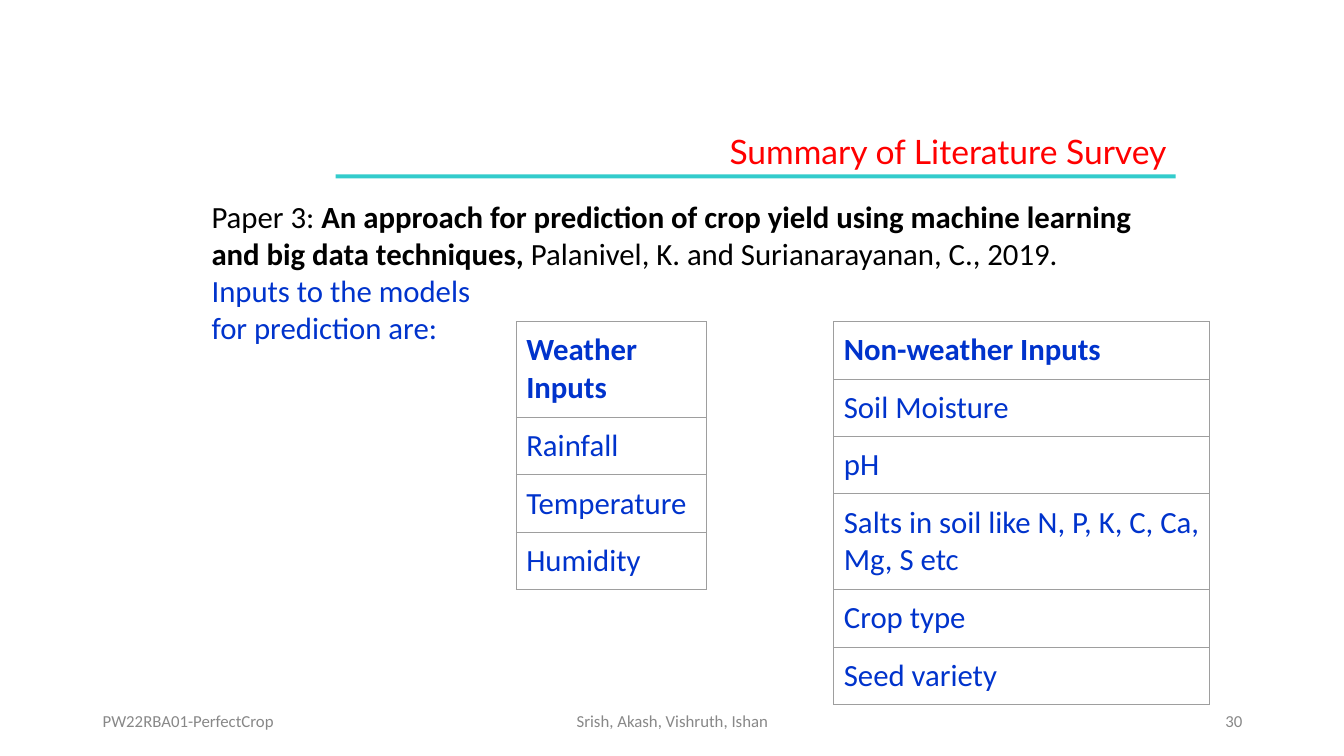
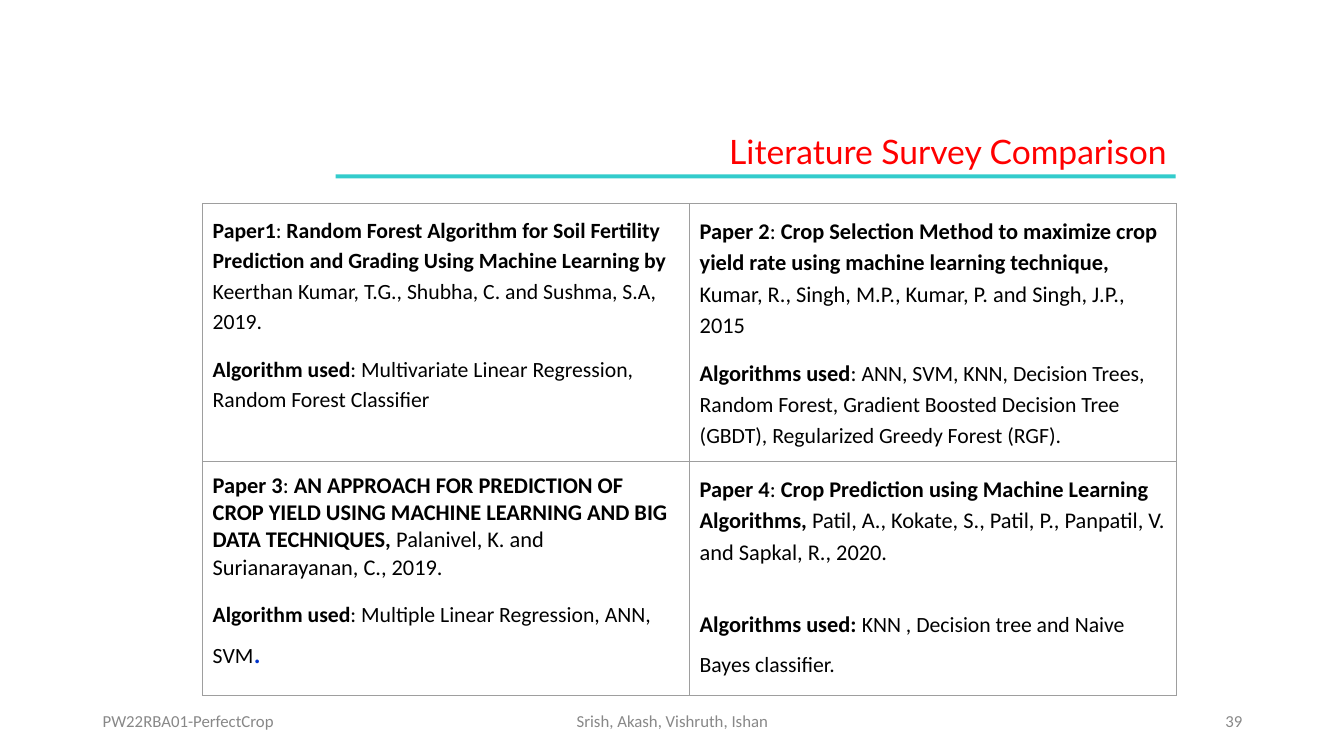
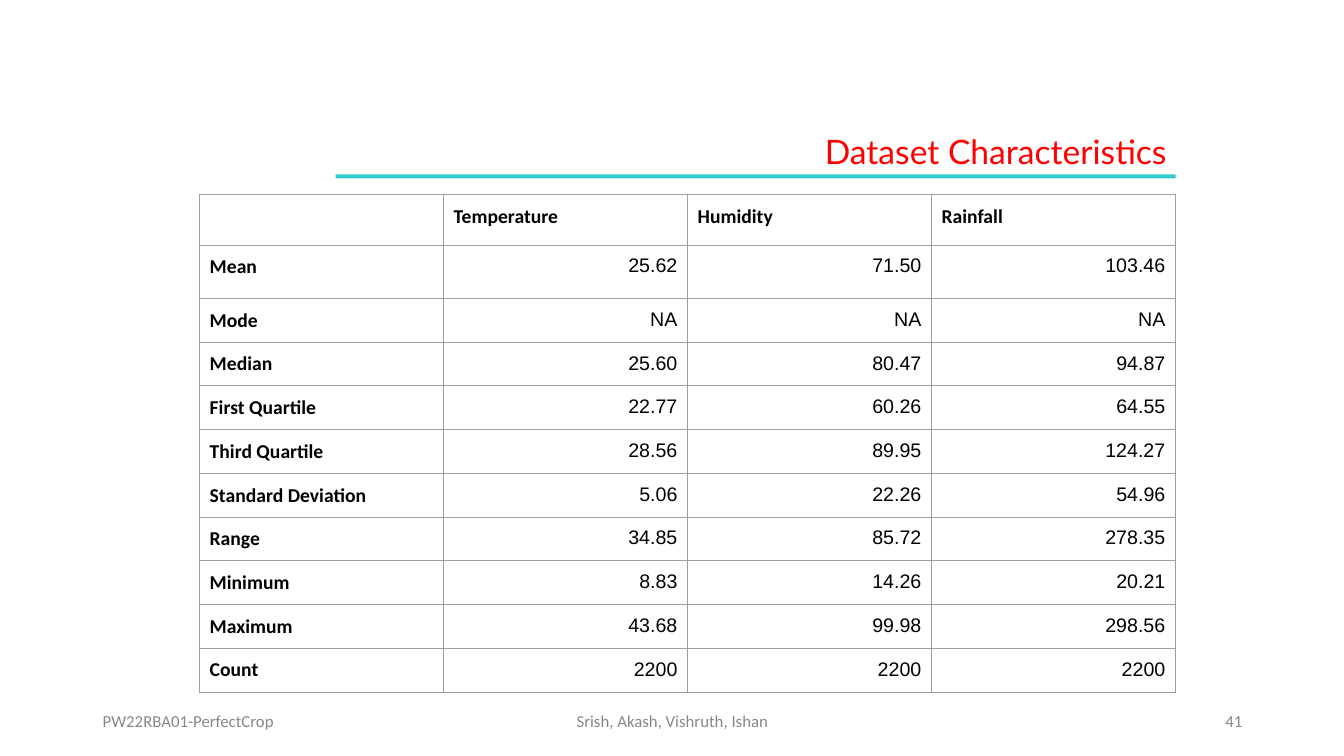
from dataclasses import dataclass
from typing import Optional

from pptx import Presentation
from pptx import util as u
from pptx.dml.color import RGBColor
from pptx.enum import shapes, text
from pptx.oxml import parse_xml
from pptx.oxml.ns import nsdecls

RED = RGBColor(0xFF, 0x00, 0x00)
TEAL = RGBColor(0x33, 0xCC, 0xCC)
BLUE = RGBColor(0x00, 0x33, 0xCC)
BLACK = RGBColor(0x00, 0x00, 0x00)
GREY = RGBColor(0x88, 0x88, 0x88)
BORDER = RGBColor(0x9E, 0x9E, 0x9E)

LEFT, CENTER, RIGHT = text.PP_ALIGN.LEFT, text.PP_ALIGN.CENTER, text.PP_ALIGN.RIGHT


@dataclass
class Line:
    """One paragraph; runs are plain strings or (text, font settings) pairs."""
    runs: list
    size: float = 22
    color: RGBColor = BLACK
    font: str = "Calibri"
    bold: bool = False
    align: text.PP_ALIGN = LEFT
    spacing: Optional[float] = None
    before: float = 0


def strong(words, **settings):
    return words, {"bold": True, **settings}


class Deck:
    def __init__(self):
        self.presentation = Presentation()
        self.presentation.slide_width = u.Inches(13.33)
        self.presentation.slide_height = u.Inches(7.5)
        self.slide = None

    def set_lines(self, frame, lines):
        frame.word_wrap = True
        for index, line in enumerate(lines):
            paragraph = frame.add_paragraph() if index else frame.paragraphs[0]
            paragraph.alignment = line.align
            paragraph.space_before = u.Pt(line.before)
            if line.spacing:
                paragraph.line_spacing = line.spacing
            font = paragraph.font
            font.name, font.size, font.bold = line.font, u.Pt(line.size), line.bold
            font.color.rgb = line.color
            for item in line.runs:
                words, settings = (item, {}) if isinstance(item, str) else item
                run = paragraph.add_run()
                run.text = words
                if "bold" in settings:
                    run.font.bold = settings["bold"]
                if "size" in settings:
                    run.font.size = u.Pt(settings["size"])
                if "color" in settings:
                    run.font.color.rgb = settings["color"]

    def text_box(self, left, top, width, height, lines,
                 anchor=text.MSO_ANCHOR.TOP, inset=0.05):
        box = self.slide.shapes.add_textbox(
            u.Inches(left), u.Inches(top), u.Inches(width), u.Inches(height))
        frame = box.text_frame
        frame.vertical_anchor = anchor
        frame.margin_top = frame.margin_bottom = u.Inches(inset)
        self.set_lines(frame, lines)

    def new_slide(self, title, number):
        self.slide = self.presentation.slides.add_slide(
            self.presentation.slide_layouts[5])
        # Rule under the title
        rule = self.slide.shapes.add_shape(
            shapes.MSO_SHAPE.RECTANGLE,
            u.Inches(3.33), u.Inches(1.73), u.Inches(8.33), u.Inches(0.04))
        rule.shadow.inherit = False
        rule.fill.solid()
        rule.fill.fore_color.rgb = TEAL
        rule.line.fill.background()
        # Title
        heading = self.slide.shapes.title
        heading.left, heading.top = u.Inches(3.9), u.Inches(1.25)
        heading.width, heading.height = u.Inches(7.77), u.Inches(0.5)
        heading.text_frame.auto_size = text.MSO_AUTO_SIZE.NONE
        heading.text_frame.vertical_anchor = text.MSO_ANCHOR.TOP
        self.set_lines(heading.text_frame,
                       [Line([title], 24, RED, "Lato", align=RIGHT)])
        # Footer
        for left, width, words, align in (
                (0.92, 3, "PW22RBA01-PerfectCrop", LEFT),
                (4.42, 4.5, "Srish, Akash, Vishruth, Ishan", CENTER),
                (9.42, 3, number, RIGHT)):
            self.text_box(left, 6.95, width, 0.4,
                          [Line([words], 12, GREY, align=align)],
                          text.MSO_ANCHOR.MIDDLE)

    def table(self, left, top, widths, heights, rows):
        """Each cell of rows is a list of lines; an empty list leaves it blank."""
        table = self.slide.shapes.add_table(
            len(heights), len(widths), u.Inches(left), u.Inches(top),
            u.Inches(sum(widths)), u.Inches(sum(heights))).table
        table.first_row = table.horz_banding = False
        for column, width in zip(table.columns, widths):
            column.width = u.Inches(width)
        for row, height, contents in zip(table.rows, heights, rows):
            row.height = u.Inches(height)
            for cell, lines in zip(row.cells, contents):
                cell.margin_top = cell.margin_bottom = u.Inches(0.1)
                self.set_lines(cell.text_frame, lines)
                self.border(cell)
                cell.fill.background()

    def border(self, cell):
        properties = cell._tc.get_or_add_tcPr()
        for side in ("lnL", "lnR", "lnT", "lnB"):
            properties.append(parse_xml(
                f'<a:{side} {nsdecls("a")} w="{u.Pt(0.75)}"><a:solidFill>'
                f'<a:srgbClr val="{BORDER}"/></a:solidFill></a:{side}>'))


def inputs_slide(deck):
    deck.new_slide("Summary of Literature Survey", "30")
    for left, width, heights, entries in (
            (5.12, 1.89, [0.95] + [0.57] * 3,
             ["Weather Inputs", "Rainfall", "Temperature", "Humidity"]),
            (8.27, 3.73, [0.57] * 3 + [0.95] + [0.57] * 2,
             ["Non-weather Inputs", "Soil Moisture", "pH",
              "Salts in soil like N, P, K, C, Ca, Mg, S etc",
              "Crop type", "Seed variety"])):
        deck.table(left, 3.19, [width], heights,
                   [[[Line([entry], color=BLUE, bold=index == 0)]]
                    for index, entry in enumerate(entries)])
    deck.text_box(2, 1.86, 9.66, 1.68, [
        Line(["Paper 3:",
              strong(" An approach for prediction of crop yield using machine "
                     "learning and big data techniques, "),
              "Palanivel, K. and Surianarayanan, C., 2019."]),
        Line(["Inputs to the models"], color=BLUE),
        Line(["for prediction are:"], color=BLUE)], inset=0.1)


def comparison_slide(deck):
    deck.new_slide("Literature Survey Comparison", "39")
    paper_1 = [
        Line([strong("Paper1"), ":",
              strong(" Random Forest Algorithm for Soil Fertility Prediction "
                     "and Grading Using Machine Learning by "),
              "Keerthan Kumar, T.G., Shubha, C. and Sushma, S.A, 2019."],
             15.5, spacing=1.15),
        Line([strong("Algorithm used"),
              ": Multivariate Linear Regression, Random Forest Classifier"],
             15.5, spacing=1.15, before=12)]
    paper_2 = [
        Line([strong("Paper 2"), ": ",
              strong("Crop Selection Method to maximize crop yield rate using "
                     "machine learning technique, "),
              "Kumar, R., Singh, M.P., Kumar, P. and Singh, J.P., 2015"],
             16, spacing=1.15),
        Line([strong("Algorithms used", size=16), (": ", {"size": 16}),
              "ANN, SVM, KNN, Decision Trees, Random Forest, Gradient Boosted "
              "Decision Tree (GBDT), Regularized Greedy Forest (RGF)."],
             15.5, spacing=1.15, before=12)]
    paper_3 = [
        Line([strong("Paper 3"), ":",
              strong(" AN APPROACH FOR PREDICTION OF CROP YIELD USING MACHINE "
                     "LEARNING AND BIG DATA TECHNIQUES, "),
              "Palanivel, K. and Surianarayanan, C., 2019."], 16),
        Line([strong("Algorithm used"), ": Multiple Linear Regression, ANN, SVM",
              (".", {"size": 22, "color": BLUE})],
             15.5, spacing=1.15, before=12)]
    paper_4 = [
        Line([strong("Paper 4"), ": ",
              strong("Crop Prediction using Machine Learning Algorithms, "),
              "Patil, A., Kokate, S., Patil, P., Panpatil, V. and Sapkal, R., 2020."],
             16, spacing=1.15),
        Line([strong("Algorithms used: ", size=16),
              "KNN , Decision tree and Naive Bayes classifier."],
             15.5, spacing=1.5, before=22.5)]
    deck.table(2.01, 2.02, [4.83] * 2, [2.56, 2.32],
               [[paper_1, paper_2], [paper_3, paper_4]])


def dataset_slide(deck):
    deck.new_slide("Dataset Characteristics", "41")
    headings = ["Temperature", "Humidity", "Rainfall"]
    statistics = [
        ("Mean", "25.62", "71.50", "103.46"),
        ("Mode", "NA", "NA", "NA"),
        ("Median", "25.60", "80.47", "94.87"),
        ("First Quartile", "22.77", "60.26", "64.55"),
        ("Third Quartile", "28.56", "89.95", "124.27"),
        ("Standard Deviation", "5.06", "22.26", "54.96"),
        ("Range", "34.85", "85.72", "278.35"),
        ("Minimum", "8.83", "14.26", "20.21"),
        ("Maximum", "43.68", "99.98", "298.56"),
        ("Count", "2200", "2200", "2200")]

    def label(words):
        return [Line([words], 14, bold=True)]

    def value(words):
        return [Line([words], 14, font="Arial", align=RIGHT)]

    rows = [[[]] + [label(heading) for heading in headings]]
    rows += [[label(name)] + [value(number) for number in numbers]
             for name, *numbers in statistics]
    deck.table(1.98, 1.93, [2.42] * 4, [0.5, 0.53] + [0.43] * 9, rows)


def main():
    deck = Deck()
    inputs_slide(deck)
    comparison_slide(deck)
    dataset_slide(deck)
    deck.presentation.save("out.pptx")


if __name__ == "__main__":
    main()
